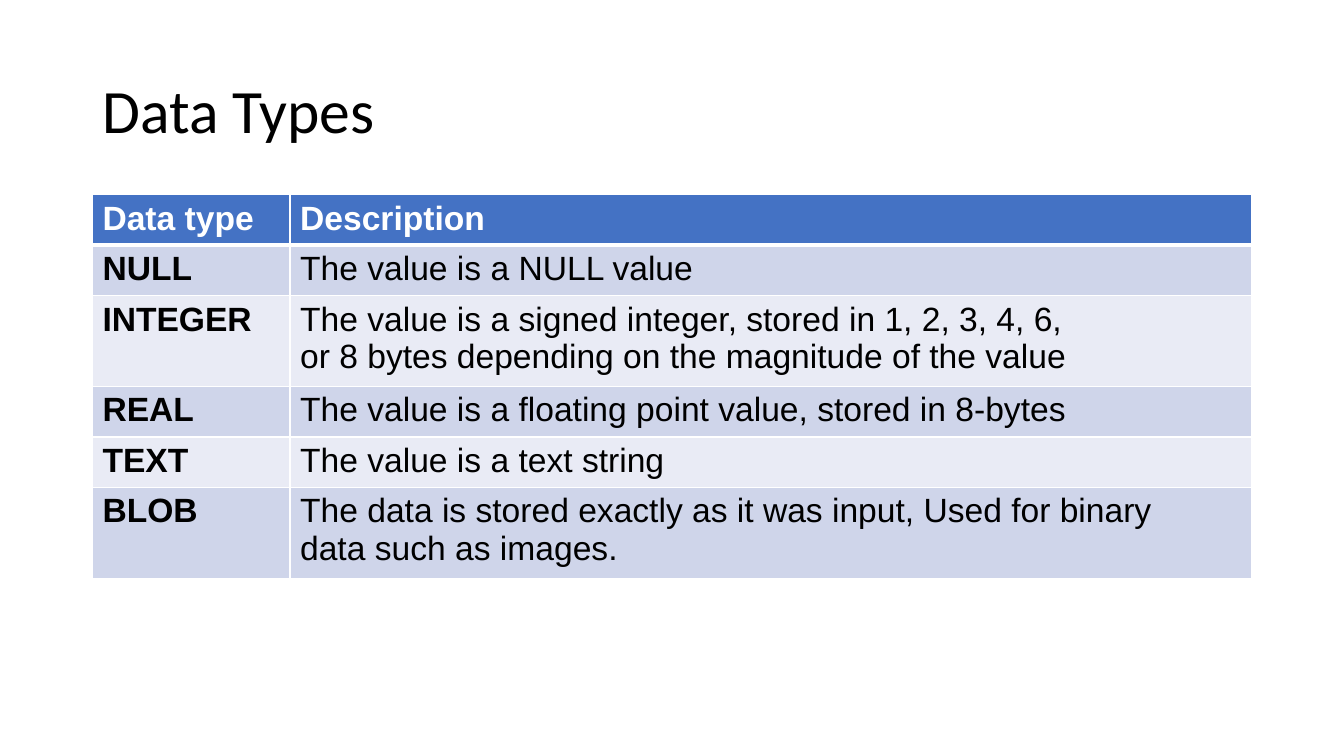
from lxml import etree
from pptx import Presentation
from pptx.dml.color import RGBColor
from pptx.enum.text import MSO_ANCHOR
from pptx.oxml.ns import qn
from pptx.util import Cm, Pt

MIDDLE = MSO_ANCHOR.MIDDLE

# Content
TITLE = "Data Types"
ROWS = [
    ("Data type", ["Description"]),
    ("NULL", ["The value is a NULL value"]),
    ("INTEGER", ["The value is a signed integer, stored in 1, 2, 3, 4, 6,",
                 "or 8 bytes depending on the magnitude of the value"]),
    ("REAL", ["The value is a floating point value, stored in 8-bytes"]),
    ("TEXT", ["The value is a text string"]),
    ("BLOB", ["The data is stored exactly as it was input, Used for binary",
              "data such as images."]),
]

# Formats
BLACK, WHITE = "000000", "FFFFFF"
HEADER_FILL = "4472C4"
BAND_FILLS = ["CFD5EA", "E9EBF5"]
TITLE_FONT = {"name": "Calibri", "size": Pt(44), "bold": False}
CELL_FONT = {"name": "Arial", "size": Pt(24)}
THIN, THICK = Pt(1), Pt(3)

# Layout
LEFT, WIDTH = Cm(2.33), Cm(29.21)
TITLE_TOP, TITLE_HEIGHT = Cm(1.01), Cm(3.68)
TABLE_TOP, LINE_HEIGHT = Cm(4.91), Cm(1.03)
TYPE_WIDTH = Cm(4.98)


def color(value):
    return RGBColor.from_string(value)


def write(frame, lines, style, ink):
    for index, line in enumerate(lines):
        para = frame.paragraphs[0] if index == 0 else frame.add_paragraph()
        span = para.add_run()
        span.text = line
        for name, value in style.items():
            setattr(span.font, name, value)
        span.font.color.rgb = color(ink)


def add_borders(cell, widths):
    properties = cell._tc.get_or_add_tcPr()
    for index, (side, width) in enumerate(widths.items()):
        line = etree.Element(qn(f"a:ln{side}"), w=str(width))
        fill = etree.SubElement(line, qn("a:solidFill"))
        etree.SubElement(fill, qn("a:srgbClr"), val=WHITE)
        properties.insert(index, line)


def add_title(page):
    box = page.shapes.add_textbox(LEFT, TITLE_TOP, WIDTH, TITLE_HEIGHT)
    frame = box.text_frame
    frame.word_wrap = True
    frame.vertical_anchor = MIDDLE
    write(frame, [TITLE], TITLE_FONT, BLACK)
    frame.paragraphs[0].line_spacing = 0.9


def add_type_table(page):
    line_total = sum(len(description) for _, description in ROWS)
    table = page.shapes.add_table(len(ROWS), 2, LEFT, TABLE_TOP, WIDTH,
                                  LINE_HEIGHT * line_total).table
    table.columns[0].width = TYPE_WIDTH
    table.columns[1].width = WIDTH - TYPE_WIDTH

    for row, (data_type, description) in enumerate(ROWS):
        header = row == 0
        table.rows[row].height = LINE_HEIGHT * len(description)
        # The thick rule lies between the header and the first data row
        widths = {"L": THIN, "R": THIN,
                  "T": THICK if row == 1 else THIN,
                  "B": THICK if header else THIN}
        for column, lines in enumerate([[data_type], description]):
            cell = table.cell(row, column)
            cell.fill.solid()
            cell.fill.fore_color.rgb = color(
                HEADER_FILL if header else BAND_FILLS[(row - 1) % 2])
            add_borders(cell, widths)
            style = {**CELL_FONT, "bold": header or column == 0}
            write(cell.text_frame, lines, style, WHITE if header else BLACK)


def main():
    deck = Presentation()
    deck.slide_width, deck.slide_height = Cm(33.87), Cm(19.05)
    page = deck.slides.add_slide(deck.slide_layouts[6])
    add_title(page)
    add_type_table(page)
    deck.save("out.pptx")


if __name__ == "__main__":
    main()
